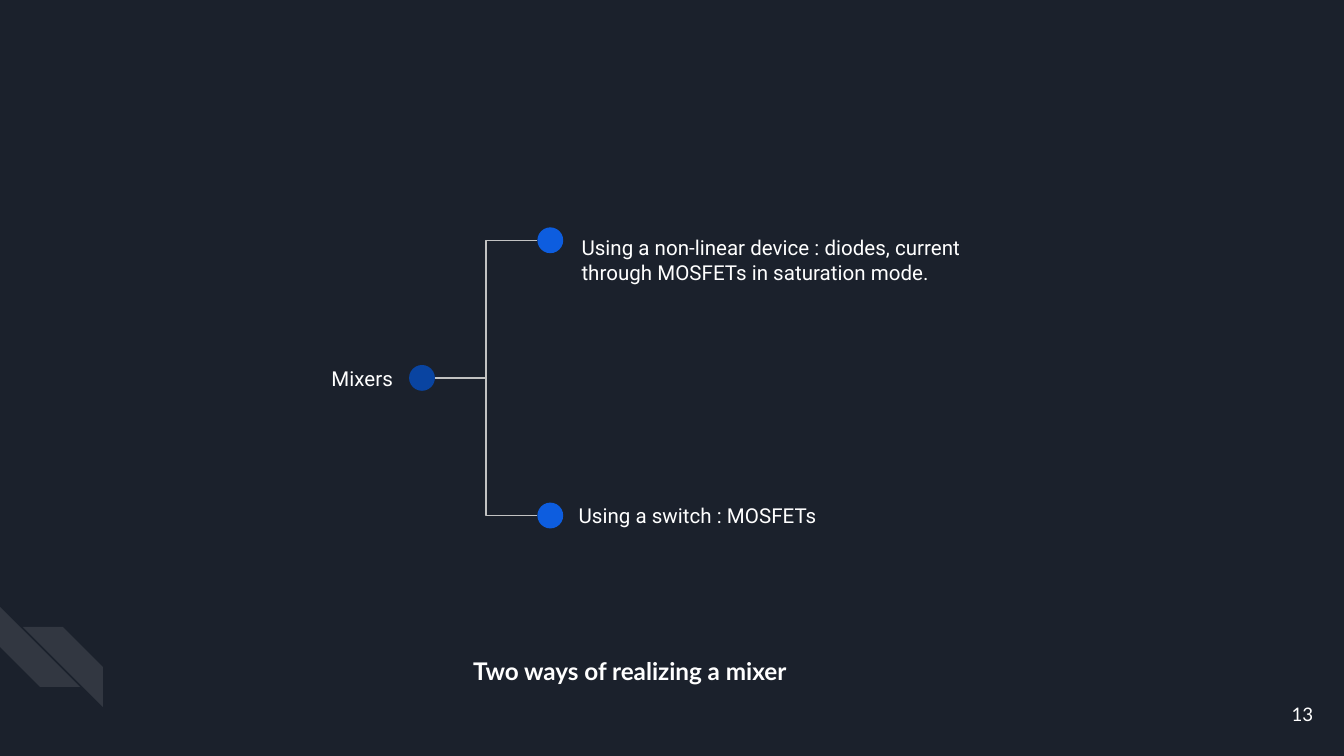
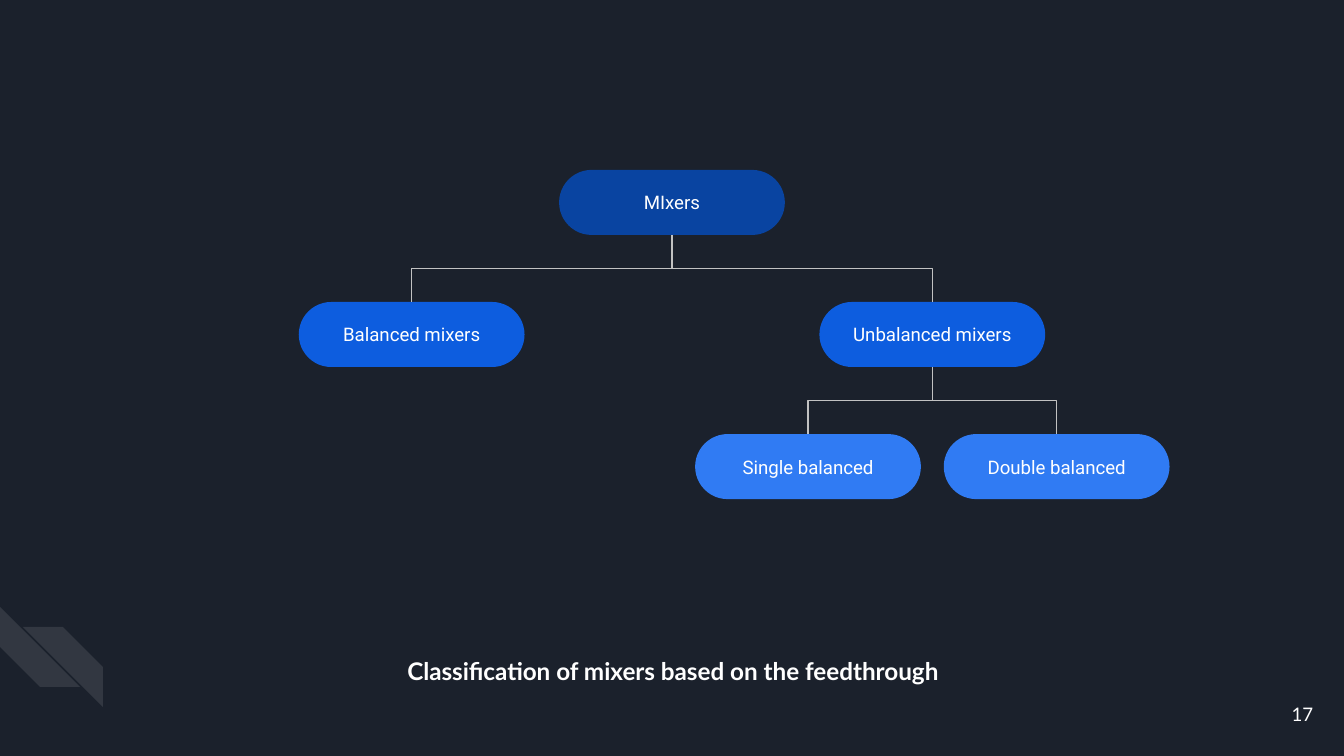
from copy import deepcopy
from dataclasses import dataclass

from lxml.etree import SubElement
from pptx import Presentation
from pptx.dml.color import RGBColor
from pptx.enum.shapes import MSO_CONNECTOR as Link, MSO_SHAPE as Preset
from pptx.enum.text import MSO_ANCHOR as Anchor, MSO_AUTO_SIZE as AutoSize, PP_ALIGN as Align
from pptx.oxml.ns import qn
from pptx.util import Emu, Inches, Pt


@dataclass(frozen=True)
class Theme:
    background: str = "1B212C"
    text: str = "FFFFFF"
    connector: str = "C2C2C2"
    levels: tuple = ("0944A1", "0D5DDF", "307BF3")
    heading_font: str = "Lato"
    label_font: str = "Roboto"
    caption_size: int = 13
    branch_size: int = 11
    node_size: int = 10
    number_size: int = 10
    line_width: float = 0.75
    stripe_opacity: int = 10


THEME = Theme()
COLUMNS, ROWS = 100, 56.25
CELL = Inches(0.1)
TITLE_ONLY = 5
FRAME = {
    **dict.fromkeys(("margin_left", "margin_top", "margin_right", "margin_bottom"), CELL),
    "word_wrap": True,
    "auto_size": AutoSize.NONE,
}


def cells(*lengths):
    return [Emu(round(length * CELL)) for length in lengths]


def apply(target, formats):
    for name, value in formats.items():
        setattr(target, name, value)


class Deck:
    def __init__(self, theme):
        self.theme = theme
        self.show = Presentation()
        self.show.slide_width, self.show.slide_height = cells(COLUMNS, ROWS)
        self.layout = self.show.slide_layouts[TITLE_ONLY]
        self.paint(self.layout.background.fill, theme.background)
        self.slide = None

    def paint(self, fill, color):
        fill.solid()
        fill.fore_color.rgb = RGBColor.from_string(color)

    def letter(self, holder, text, size, font, align, anchor=Anchor.MIDDLE, bold=False):
        frame = holder.text_frame
        apply(frame, {**FRAME, "vertical_anchor": anchor})
        frame.text = text
        paragraph = frame.paragraphs[0]
        paragraph.alignment = align
        apply(paragraph.font, {"name": font, "size": Pt(size), "bold": bold})
        paragraph.font.color.rgb = RGBColor.from_string(self.theme.text)

    def new_slide(self, caption, left, number):
        theme = self.theme
        first = self.slide is None
        self.slide = self.show.slides.add_slide(self.layout)
        if first:
            self.stripe(0, 45.15, 20, rotation=270)
            self.stripe(1.7, 46.65, 21, mirrored=True)
        title = self.slide.shapes.title
        apply(title, dict(zip(("left", "top", "width", "height"), cells(left, 47.1, 75.9, 5.7))))
        self.letter(title, caption, theme.caption_size, theme.heading_font, Align.CENTER, bold=True)
        page = self.slide.shapes.add_textbox(*cells(92.7, 51, 6, 4.3))
        self.letter(page, number, theme.number_size, theme.heading_font, Align.RIGHT)

    def shape(self, preset, box, color=None):
        shape = self.slide.shapes.add_shape(preset, *cells(*box))
        shape.shadow.inherit = False
        shape.line.fill.background()
        if color:
            self.paint(shape.fill, color)
        else:
            shape.fill.background()
        return shape

    def stripe(self, left, top, identity, rotation=0, mirrored=False):
        stripe = self.shape(Preset.DIAGONAL_STRIPE, (left, top, 5.96, 5.96), self.theme.text)
        stripe.rotation = rotation
        tint = stripe.element.spPr.find(qn("a:solidFill"))[0]
        SubElement(tint, qn("a:alpha"), val=str(self.theme.stripe_opacity * 1000))
        if mirrored:
            stripe.element.spPr.find(qn("a:xfrm")).set("flipH", "1")
        stripe.element.nvSpPr.cNvPr.id = identity
        self.layout.shapes.element.insert(2, stripe.element)

    def dot(self, x, y, diameter, level):
        box = (x - diameter / 2, y - diameter / 2, diameter, diameter)
        self.shape(Preset.OVAL, box, self.theme.levels[level])

    def label(self, text, box, align=Align.LEFT, anchor=Anchor.MIDDLE):
        label = self.shape(Preset.ROUNDED_RECTANGLE, box)
        self.letter(label, text, self.theme.branch_size, self.theme.label_font, align, anchor)

    def node(self, text, box, level):
        node = self.shape(Preset.ROUNDED_RECTANGLE, box, self.theme.levels[level])
        node.adjustments[0] = 0.5
        self.letter(node, text, self.theme.node_size, self.theme.label_font, Align.CENTER)
        return node

    def elbow(self, begin_x, begin_y, end_x, end_y):
        link = self.slide.shapes.add_connector(Link.ELBOW, begin_x, begin_y, end_x, end_y)
        link.line.color.rgb = RGBColor.from_string(self.theme.connector)
        link.line.width = Pt(self.theme.line_width)
        SubElement(link.element.spPr, qn("a:effectLst"))
        return link

    def branch_down(self, parent, child):
        begin_x, begin_y = parent.left + parent.width // 2, parent.top + parent.height
        run = child.left + child.width // 2 - begin_x
        drop = child.top - begin_y
        x, y = begin_x + run // 2, begin_y + drop // 2
        link = self.elbow(x - drop // 2, y + run // 2, x + drop // 2, y - run // 2)
        properties = link.element.spPr
        turned = deepcopy(properties.find(qn("a:xfrm")))
        turned.set("rot", str(90 * 60000))
        link.begin_connect(parent, 2)
        link.end_connect(child, 0)
        properties.replace(properties.find(qn("a:xfrm")), turned)


def realization_slide(deck):
    deck.new_slide("Two ways of realizing a mixer", 8.9, "13")
    root_x, branch_x, middle, spread, diameter = 31.4, 40.95, 28.12, 10.24, 1.92
    for y in (middle + spread, middle - spread):
        ends = cells(root_x + diameter / 2, middle, branch_x - diameter / 2, y)
        deck.elbow(*ends)
        deck.dot(branch_x, y, diameter, 1)
    deck.dot(root_x, middle, diameter, 0)
    deck.label("Mixers", (17.5, 26.4, 12.9, 3.5), Align.RIGHT)
    deck.label(
        "Using a non-linear device : diodes, current through MOSFETs in saturation mode.",
        (41.9, 16.1, 33.8, 7.9),
        anchor=Anchor.TOP,
    )
    deck.label("Using a switch : MOSFETs", (41.9, 36.6, 31.1, 3.5))


def classification_slide(deck):
    deck.new_slide("Classification of mixers based on the feedthrough", 12.1, "17")
    width, height, top, pitch = 16.8, 4.84, 12.64, 9.83
    center, main_spread, sub_spread = COLUMNS / 2, 19.37, 9.25
    unbalanced = center + main_spread
    tree = (
        ("MIxers", None, center, 0),
        ("Unbalanced mixers", "MIxers", unbalanced, 1),
        ("Balanced mixers", "MIxers", center - main_spread, 1),
        ("Single balanced", "Unbalanced mixers", unbalanced - sub_spread, 2),
        ("Double balanced", "Unbalanced mixers", unbalanced + sub_spread, 2),
    )
    nodes = {}
    for name, parent, x, level in tree:
        box = (x - width / 2, top + level * pitch, width, height)
        nodes[name] = deck.node(name, box, level)
        if parent:
            deck.branch_down(nodes[parent], nodes[name])


def main():
    deck = Deck(THEME)
    realization_slide(deck)
    classification_slide(deck)
    deck.show.save("out.pptx")


if __name__ == "__main__":
    main()
